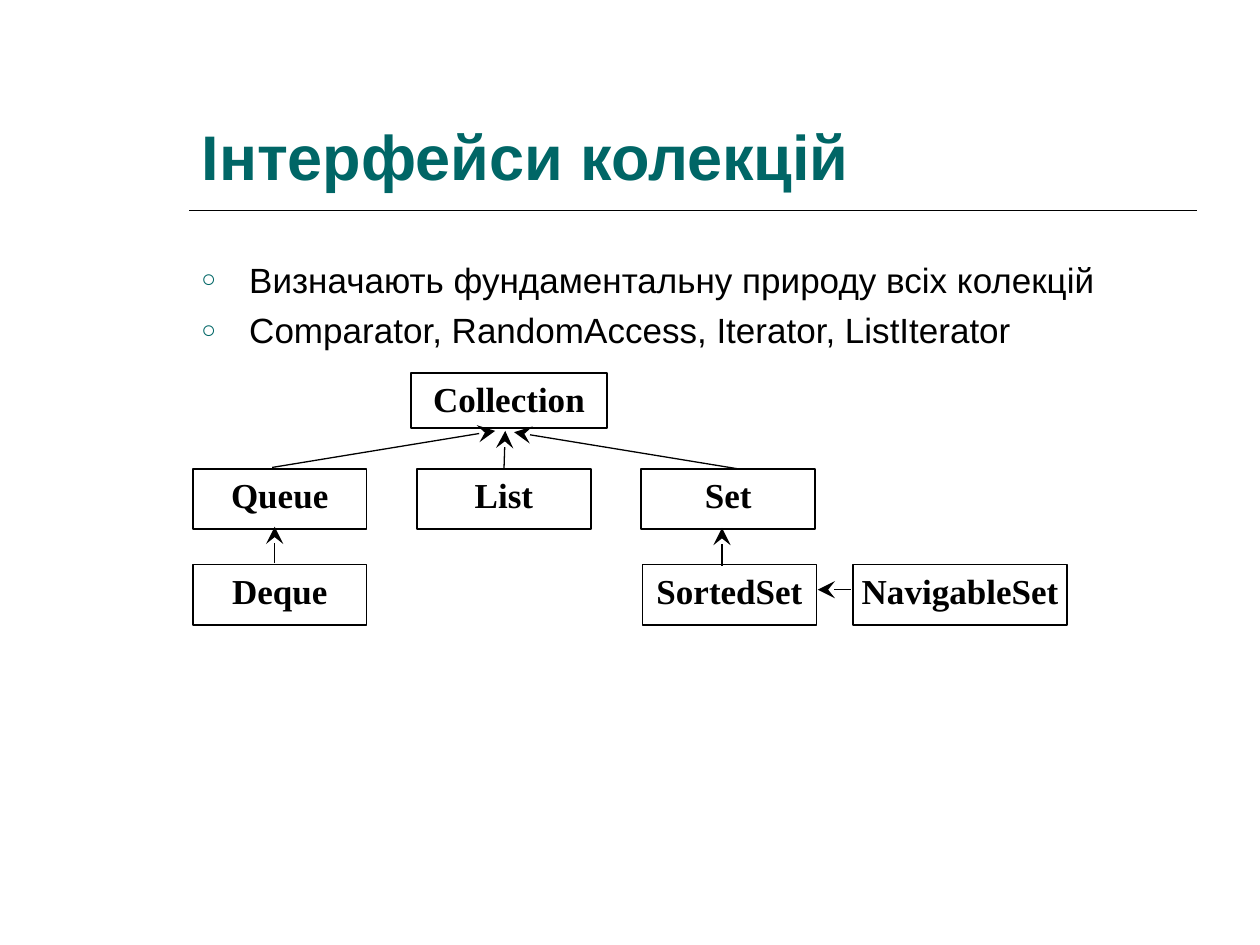
from lxml import etree
from pptx import Presentation
from pptx.dml.color import RGBColor
from pptx.enum.shapes import MSO_CONNECTOR, MSO_SHAPE
from pptx.enum.text import MSO_ANCHOR, PP_ALIGN
from pptx.oxml.ns import qn
from pptx.util import Inches, Pt

STRAIGHT = MSO_CONNECTOR.STRAIGHT
RECTANGLE = MSO_SHAPE.RECTANGLE
TOP, BOTTOM = MSO_ANCHOR.TOP, MSO_ANCHOR.BOTTOM
LEFT, CENTER = PP_ALIGN.LEFT, PP_ALIGN.CENTER
TOP_SIDE = 0

TEAL, BLACK = "006666", "000000"
CONTENT_LEFT, CONTENT_WIDTH = 1.5, 8

BULLETS = [
    "Визначають фундаментальну природу всіх колекцій",
    "Comparator, RandomAccess, Iterator, ListIterator",
]

# Interface: left, top, width, height, relative to the diagram's corner
INTERFACES = {
    "Collection": (1.73, 0, 1.56, 0.44),
    "Queue": (0, 0.76, 1.38, 0.48),
    "List": (1.78, 0.76, 1.38, 0.48),
    "Set": (3.56, 0.76, 1.38, 0.48),
    "Deque": (0, 1.52, 1.38, 0.48),
    "SortedSet": (3.57, 1.52, 1.38, 0.48),
    "NavigableSet": (5.24, 1.52, 1.7, 0.48),
}

# Child interface: arrow start and end, relative to the diagram's corner
INHERITANCE = {
    "Queue": (0.63, 0.75, 2.4, 0.46),
    "Set": (4.32, 0.76, 2.55, 0.47),
    "List": (2.48, 0.75, 2.48, 0.46),
    "NavigableSet": (5.22, 1.72, 4.96, 1.72),
    "SortedSet": (4.2, 1.53, 4.2, 1.23),
    "Deque": (0.65, 1.51, 0.65, 1.22),
}


def color(hex_string):
    return RGBColor.from_string(hex_string)


def write(paragraph, text, *, size, font="Arial", fill=BLACK, bold=False,
          align=LEFT, before=0):
    paragraph.alignment = align
    paragraph.space_before = Pt(before)
    run = paragraph.add_run()
    run.text = text
    run.font.size = Pt(size)
    run.font.name = font
    run.font.bold = bold
    run.font.color.rgb = color(fill)


def set_frame(frame, anchor, side, top, bottom):
    frame.word_wrap = True
    frame.vertical_anchor = anchor
    frame.margin_left = frame.margin_right = Inches(side)
    frame.margin_top, frame.margin_bottom = Inches(top), Inches(bottom)


def add_bullet(paragraph, indent):
    properties = paragraph._p.get_or_add_pPr()
    properties.set("marL", str(Inches(indent)))
    properties.set("indent", str(-Inches(indent)))
    bullet_color = etree.SubElement(properties, qn("a:buClr"))
    etree.SubElement(bullet_color, qn("a:srgbClr"), val=TEAL)
    etree.SubElement(properties, qn("a:buSzPct"), val="70000")
    etree.SubElement(properties, qn("a:buFont"), typeface="Arial")
    etree.SubElement(properties, qn("a:buChar"), char="○")


def add_line(slide, x1, y1, x2, y2, weight, arrow=False):
    line = slide.shapes.add_connector(
        STRAIGHT, Inches(x1), Inches(y1), Inches(x2), Inches(y2))
    line.line.color.rgb = color(BLACK)
    line.line.width = Pt(weight)
    if arrow:
        etree.SubElement(line.line._get_or_add_ln(), qn("a:tailEnd"),
                         type="stealth", w="lg", len="lg")
    etree.SubElement(line._element.spPr, qn("a:effectLst"))
    return line


def add_title(slide, left, top, width, height):
    title = slide.shapes.title
    title.left, title.top = Inches(left), Inches(top)
    title.width, title.height = Inches(width), Inches(height)
    set_frame(title.text_frame, BOTTOM, 0.1, 0.05, 0.05)
    write(title.text_frame.paragraphs[0], "Інтерфейси колекцій",
          size=36, fill=TEAL, bold=True)
    rule_y = top + height + 0.09
    add_line(slide, left, rule_y, left + width, rule_y, 1)


def add_bullets(slide, left, top, width, height):
    body = slide.shapes.add_textbox(
        Inches(left), Inches(top), Inches(width), Inches(height))
    frame = body.text_frame
    set_frame(frame, TOP, 0.1, 0.05, 0.05)
    for index, text in enumerate(BULLETS):
        paragraph = frame.add_paragraph() if index else frame.paragraphs[0]
        add_bullet(paragraph, 0.38)
        write(paragraph, text, size=20, before=5 if index else 0)


def add_interface(slide, name, left, top, width, height):
    box = slide.shapes.add_shape(
        RECTANGLE, Inches(left), Inches(top), Inches(width), Inches(height))
    box.shadow.inherit = False
    box.fill.background()
    box.line.color.rgb = color(BLACK)
    box.line.width = Pt(1)
    set_frame(box.text_frame, TOP, 0, 0.04, 0)
    write(box.text_frame.paragraphs[0], name, size=20,
          font="Times New Roman", bold=True, align=CENTER)
    return box


def add_hierarchy(slide, left, top):
    boxes = {name: add_interface(slide, name, left + x, top + y, width, height)
             for name, (x, y, width, height) in INTERFACES.items()}
    for child, (x1, y1, x2, y2) in INHERITANCE.items():
        arrow = add_line(slide, left + x1, top + y1, left + x2, top + y2,
                         0.75, arrow=True)
        if child == "List":
            arrow.begin_connect(boxes[child], TOP_SIDE)


def main():
    presentation = Presentation()
    presentation.slide_width = Inches(10)
    presentation.slide_height = Inches(7.5)
    title_only = presentation.slide_layouts.get_by_name("Title Only")
    slide = presentation.slides.add_slide(title_only)
    add_title(slide, CONTENT_LEFT, 0.33, CONTENT_WIDTH, 1.25)
    add_bullets(slide, CONTENT_LEFT, 2, CONTENT_WIDTH, 0.9)
    add_hierarchy(slide, 1.53, 2.96)
    presentation.save("out.pptx")


if __name__ == "__main__":
    main()
